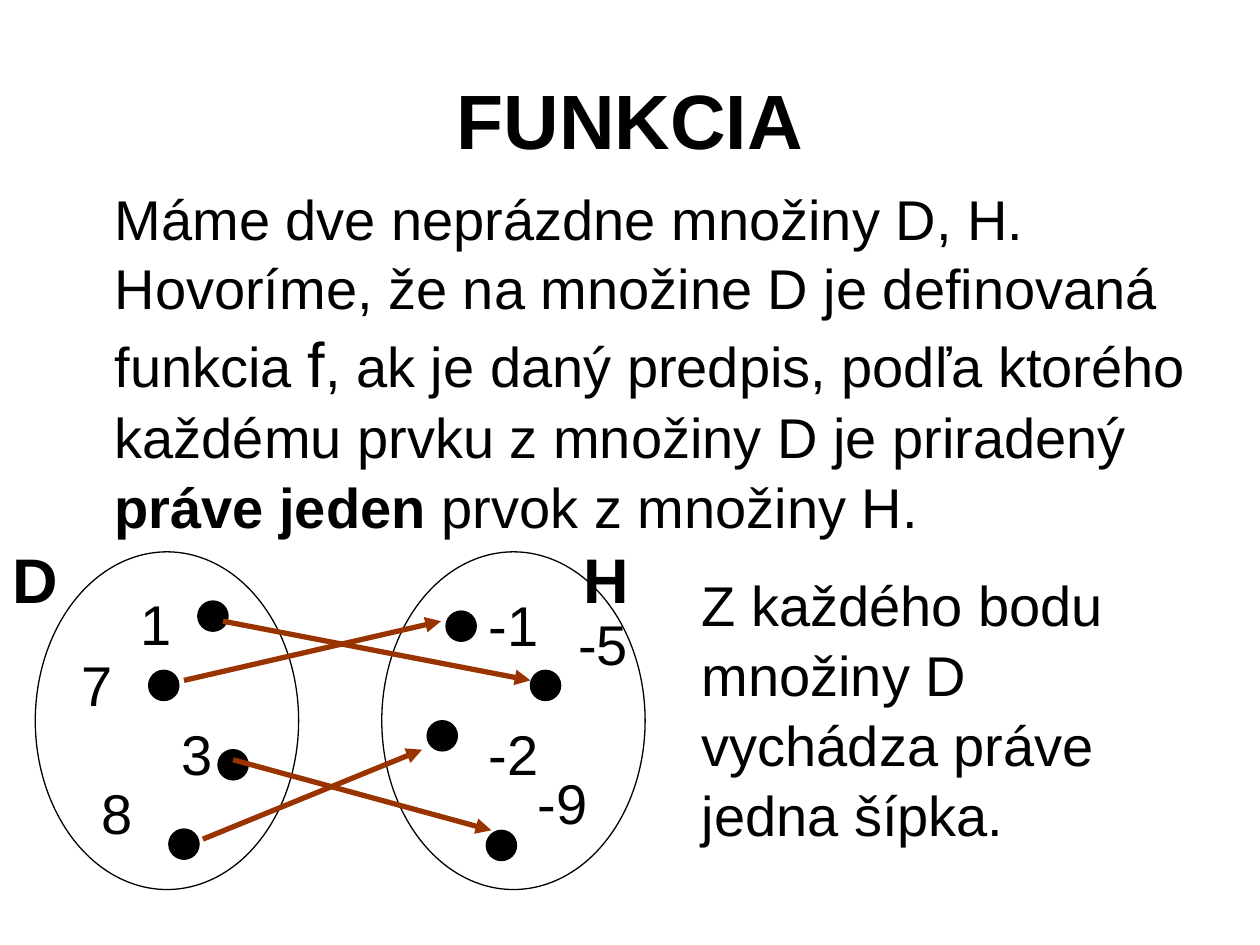
from lxml import etree
from pptx import Presentation
from pptx.dml.color import RGBColor
from pptx.enum.shapes import MSO_CONNECTOR, MSO_SHAPE
from pptx.enum.text import MSO_ANCHOR, MSO_AUTO_SIZE, PP_ALIGN
from pptx.oxml.ns import qn
from pptx.util import Inches, Pt

BLACK = RGBColor(0x00, 0x00, 0x00)
RUST = RGBColor(0x99, 0x33, 0x00)
OVAL = MSO_SHAPE.OVAL
STRAIGHT = MSO_CONNECTOR.STRAIGHT
MIDDLE = MSO_ANCHOR.MIDDLE
GROW = MSO_AUTO_SIZE.SHAPE_TO_FIT_TEXT
CENTER = PP_ALIGN.CENTER

FONT = "Arial"
LINE_SPACING = 1.04
SET_SIZE = (2.09, 2.68)
DOT = 0.24
LABEL_SIZE = (0.63, 0.64)
NAME_SIZE = (0.67, 0.7)

DOMAIN_DOTS = [(1.29, 0.39), (0.9, 0.94), (1.45, 1.57), (1.06, 2.2)]
DOMAIN_LABELS = [("1", 0.74, 0.23), ("7", 0.27, 0.71), ("3", 1.06, 1.26), ("8", 0.43, 1.73)]
RANGE_DOTS = [(0.51, 0.47), (1.18, 0.94), (0.36, 1.34), (0.83, 2.21)]
RANGE_LABELS = [("-1", 0.75, 0.24), ("-5", 1.46, 0.39), ("-2", 0.75, 1.26), ("-9", 1.14, 1.65)]
ARROWS = [
    (1.46, 5.4, 3.5, 4.93),
    (1.85, 6.03, 3.9, 6.59),
    (1.77, 4.93, 4.21, 5.4),
    (1.61, 6.66, 3.35, 5.95),
]


def add_text(shapes, box, spans, size=32, bold=False):
    text_box = shapes.add_textbox(*map(Inches, box))
    frame = text_box.text_frame
    frame.word_wrap = True
    para = frame.paragraphs[0]
    para.line_spacing = LINE_SPACING
    para.font.name = FONT
    para.font.size = Pt(size)
    para.font.bold = bold
    para.font.color.rgb = BLACK
    for text in spans:
        para.add_run().text = text
    return frame


def add_title(page, box):
    frame = add_text(page.shapes, box, ["FUNKCIA"], 44, True)
    frame.vertical_anchor = MIDDLE
    frame.paragraphs[0].alignment = CENTER


def add_definition(page, box):
    spans = [
        "Máme dve neprázdne množiny D, H. Hovoríme, že na množine D je definovaná funkcia ",
        "f",
        ", ak je daný predpis, podľa ktorého každému prvku z množiny D je priradený ",
        "práve jeden",
        " prvok z množiny H.",
    ]
    frame = add_text(page.shapes, box, spans)
    frame.margin_left = Inches(0.48)
    runs = frame.paragraphs[0].runs
    runs[1].font.size = Pt(36)
    runs[3].font.bold = True


def add_oval(shapes, box, filled):
    oval = shapes.add_shape(OVAL, *map(Inches, box))
    oval.shadow.inherit = False
    if filled:
        oval.fill.solid()
        oval.fill.fore_color.rgb = BLACK
    else:
        oval.fill.background()
    oval.line.color.rgb = BLACK
    oval.line.width = Pt(0.75)


def add_number_set(page, box, dots, labels):
    left, top, width, height = box
    shapes = page.shapes.add_group_shape().shapes
    add_oval(shapes, box, False)
    for x, y in dots:
        add_oval(shapes, (left + x, top + y, DOT, DOT), True)
    for text, x, y in labels:
        frame = add_text(shapes, (left + x, top + y, *LABEL_SIZE), [text])
        frame.auto_size = GROW


def add_arrow(page, ends):
    arrow = page.shapes.add_connector(STRAIGHT, *map(Inches, ends))
    arrow.line.color.rgb = RUST
    arrow.line.width = Pt(3)
    etree.SubElement(arrow.line._get_or_add_ln(), qn("a:tailEnd"), type="triangle")
    etree.SubElement(arrow._element.spPr, qn("a:effectLst"))


def add_mapping(page, box):
    left, top = box[:2]
    add_number_set(page, (left, top, *SET_SIZE), DOMAIN_DOTS, DOMAIN_LABELS)
    add_number_set(page, (left + 2.75, top, *SET_SIZE), RANGE_DOTS, RANGE_LABELS)
    for x1, y1, x2, y2 in ARROWS:
        add_arrow(page, (left + x1 - 0.28, top + y1 - 4.38, left + x2 - 0.28, top + y2 - 4.38))
    for name, x in (("D", -0.28), ("H", 4.25)):
        frame = add_text(page.shapes, (left + x, top - 0.16, *NAME_SIZE), [name], 36, True)
        frame.auto_size = GROW


def add_remark(page, box):
    frame = add_text(page.shapes, box, ["Z každého bodu množiny D vychádza práve jedna šípka."])
    frame.auto_size = GROW


def main():
    deck = Presentation()
    deck.slide_width = Inches(10)
    deck.slide_height = Inches(7.5)
    page = deck.slides.add_slide(deck.slide_layouts[6])
    add_title(page, (0.5, 0.3, 9, 1.25))
    add_definition(page, (0.43, 1.39, 9.57, 4.95))
    add_mapping(page, (0.28, 4.38, 4.84, 2.68))
    add_remark(page, (5.47, 4.46, 3.98, 2.24))
    deck.save("out.pptx")


if __name__ == "__main__":
    main()
